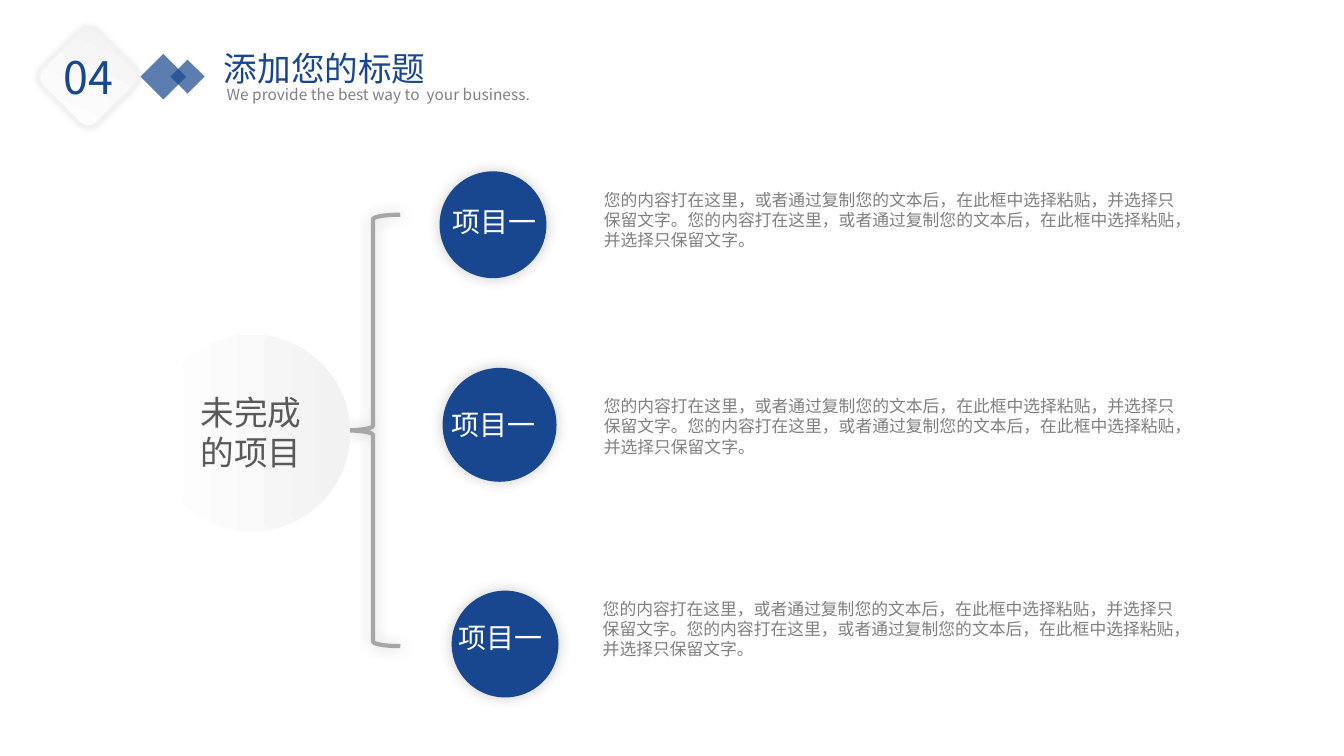
from lxml import etree
from pptx import Presentation
from pptx import util as u
from pptx.dml.color import RGBColor
from pptx.enum import shapes, text

FONT = "Noto Sans CJK SC"
BLUE, GREY = "18478F", "808080"
SHAPE = shapes.MSO_SHAPE
DRAWING = "{http://schemas.openxmlformats.org/drawingml/2006/main}"


def add_shape(kind, box, fill=None, alpha=100, line=None, shadow=None):
    """Fill is a hex colour, or (start, end, angle); line is (colour, points);
    shadow is (opacity in percent, blur in points, direction in degrees)."""
    shape = slide.shapes.add_shape(kind, *map(u.Inches, box))
    shape.shadow.inherit = False
    if fill is None:
        shape.fill.background()
    elif isinstance(fill, str):
        shape.fill.solid()
        shape.fill.fore_color.rgb = RGBColor.from_string(fill)
        if alpha < 100:
            color = shape._element.spPr.find(f"{DRAWING}solidFill")[0]
            etree.SubElement(color, f"{DRAWING}alpha", val=str(alpha * 1000))
    else:
        shape.fill.gradient()
        shape.fill.gradient_angle = fill[2]
        for stop, color, position in zip(shape.fill.gradient_stops, fill, (0, 1)):
            stop.color.rgb = RGBColor.from_string(color)
            stop.position = position
    if line:
        shape.line.color.rgb = RGBColor.from_string(line[0])
        shape.line.width = u.Pt(line[1])
    else:
        shape.line.fill.background()
    if shadow:
        opacity, blur, direction = shadow
        effects = shape._element.spPr.find(f"{DRAWING}effectLst")
        outer = etree.SubElement(effects, f"{DRAWING}outerShdw", blurRad=str(int(u.Pt(blur))), dist="0",
                                 dir=str(direction * 60000), algn="ctr", rotWithShape="0")
        color = etree.SubElement(outer, f"{DRAWING}srgbClr", val="000000")
        etree.SubElement(color, f"{DRAWING}alpha", val=str(opacity * 1000))
    return shape


def write(shape, words, size, color, align=text.PP_ALIGN.LEFT, anchor=text.MSO_ANCHOR.TOP, wrap=True):
    frame = shape.text_frame
    frame.auto_size = text.MSO_AUTO_SIZE.NONE
    frame.word_wrap = wrap
    frame.vertical_anchor = anchor
    paragraph = frame.paragraphs[0]
    paragraph.alignment = align
    paragraph.line_spacing = u.Pt(size * 1.2)
    paragraph.space_before = u.Pt(0)
    run = paragraph.add_run()
    run.text = words
    run.font.name = FONT
    run.font.size = u.Pt(size)
    run.font.color.rgb = RGBColor.from_string(color)
    etree.SubElement(run.font._element, f"{DRAWING}ea", typeface=FONT)


presentation = Presentation()
presentation.slide_width = u.Inches(13.33)
presentation.slide_height = u.Inches(7.5)
slide = presentation.slides.add_slide(presentation.slide_layouts[5])

# Header
title = slide.shapes.title
title.left, title.top, title.width, title.height = map(u.Inches, (2.12, 0.43, 3.25, 0.5))
write(title, "添加您的标题", 24, BLUE)
subtitle = slide.shapes.add_textbox(*map(u.Inches, (2.15, 0.79, 4.02, 0.29)))
write(subtitle, "We provide the best way to  your business.", 11, GREY)

for left, top, side in ((1.46, 0.6, 0.32), (1.74, 0.64, 0.24)):
    diamond = add_shape(SHAPE.RECTANGLE, (left, top, side, side), BLUE, alpha=70)
    diamond.rotation = 225

badge = add_shape(SHAPE.ROUNDED_RECTANGLE, (0.49, 0.38, 0.77, 0.77), ("FFFFFF", "F2F2F2", 110),
                  line=("F2F2F2", 2), shadow=(11, 5, 0))
badge.rotation = 45
number = slide.shapes.add_textbox(*map(u.Inches, (0.53, 0.44, 0.73, 0.64)))
write(number, "04", 32, BLUE, wrap=False)

# Hub and brace
add_shape(SHAPE.LEFT_BRACE, (3.43, 2.13, 0.54, 4.28), line=("A6A6A6", 3), shadow=(20, 11, 135))
hub_fill = ("FFFFFF", "F2F2F2", 0)
ring = add_shape(SHAPE.DONUT, (1.52, 3.32, 1.95, 1.95), hub_fill)
ring.adjustments[0] = 0.05
hub = add_shape(SHAPE.OVAL, (1.56, 3.36, 1.86, 1.86), hub_fill)
write(hub, "未完成的项目", 24, "595959", text.PP_ALIGN.CENTER, text.MSO_ANCHOR.MIDDLE)

# Branches: circle (left, top, diameter), label (left, top), description (left, top)
sentence = "您的内容打在这里，或者通过复制您的文本后，在此框中选择粘贴，并选择只保留文字。"
branches = (
    ((4.36, 1.7, 1.06), (4.39, 1.98), (5.89, 1.83)),
    ((4.39, 3.65, 1.13), (4.38, 3.99), (5.89, 3.88)),
    ((4.48, 5.86, 1.06), (4.45, 6.11), (5.88, 5.89)),
)
for (left, top, diameter), label_at, description_at in branches:
    add_shape(SHAPE.OVAL, (left, top, diameter, diameter), BLUE, shadow=(20, 10, 0))
    label = slide.shapes.add_textbox(*map(u.Inches, (*label_at, 1.5, 0.44)))
    write(label, "项目一", 20, "FFFFFF")
    description = slide.shapes.add_textbox(*map(u.Inches, (*description_at, 5.9, 1.04)))
    write(description, sentence * 2, 12, GREY)

presentation.save("out.pptx")
